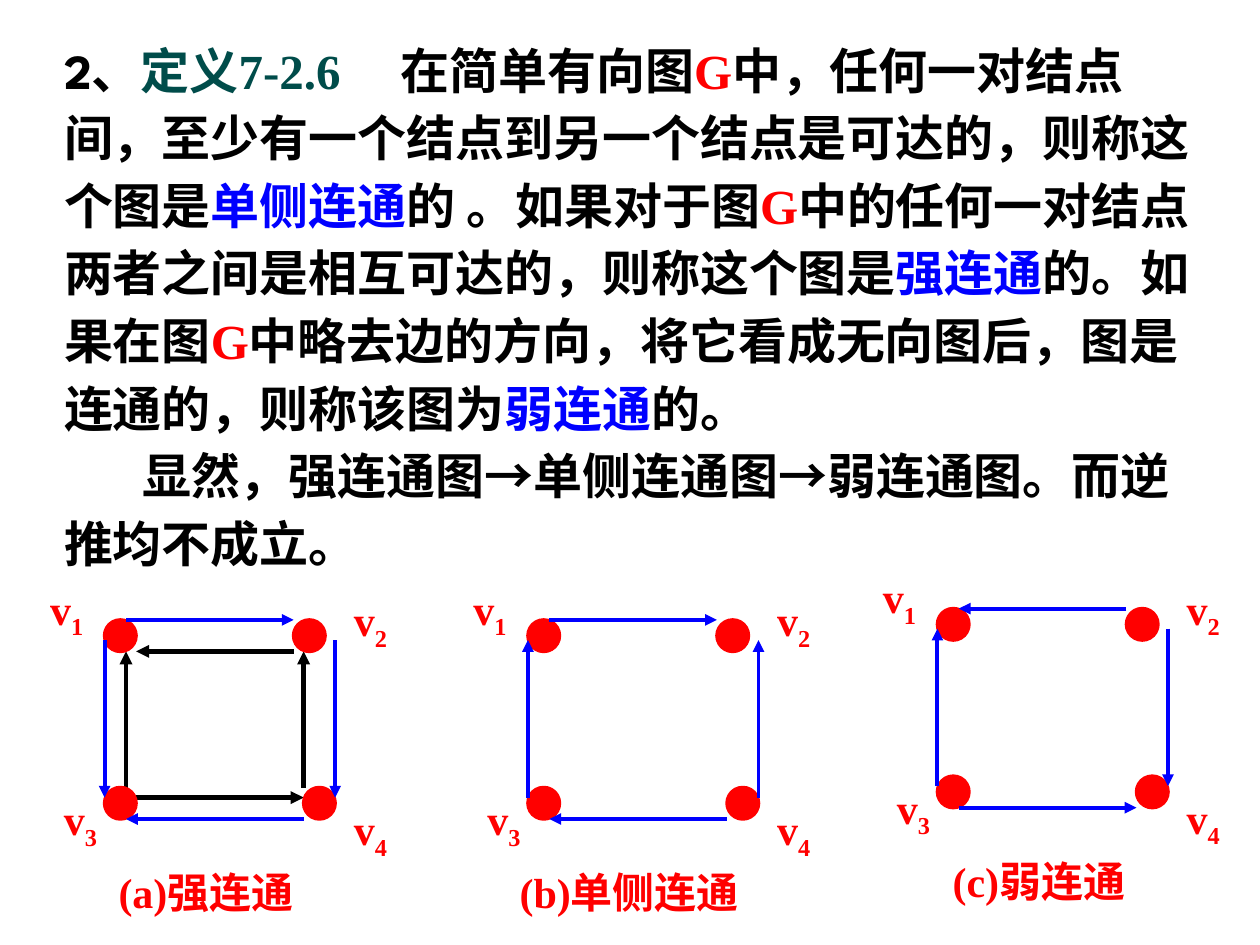
from lxml.etree import SubElement as Sub
from pptx import Presentation
from pptx.dml.color import RGBColor as RGB
from pptx.enum.shapes import MSO_CONNECTOR as Link, MSO_SHAPE as Form
from pptx.enum.text import PP_ALIGN as Align
from pptx.oxml.ns import qn
from pptx.util import Inches, Pt

RED, BLUE, BLACK, TEAL = "FF0000", "0000FF", "000000", "004C4A"
SERIF, SANS = "Times New Roman", "League Spartan"


def color(part, tone):
    part.rgb = RGB.from_string(tone)


def write(para, text, size=24, font=SERIF, tone=RED, base=0):
    run = para.add_run()
    run.text = text
    run.font.size = Pt(size)
    run.font.name = font
    run.font.bold = True
    color(run.font.color, tone)
    if base:
        run._r.get_or_add_rPr().set("baseline", str(base * 1000))


class Board:
    def __init__(self, deck):
        self.slide = deck.slides.add_slide(deck.slide_layouts[6])
        self.shapes = self.slide.shapes

    def text(self, x, y, w, h):
        box = self.shapes.add_textbox(Inches(x), Inches(y), Inches(w), Inches(h))
        box.text_frame.word_wrap = True
        return box.text_frame

    def label(self, x, y, w, h, text, sub=""):
        para = self.text(x, y, w, h).paragraphs[0]
        para.alignment = Align.CENTER
        write(para, text)
        if sub:
            write(para, sub, base=-25)

    def node(self, x, y):
        dot = self.shapes.add_shape(
            Form.OVAL, Inches(x), Inches(y), Inches(0.25), Inches(0.25))
        dot.shadow.inherit = False
        dot.fill.solid()
        color(dot.fill.fore_color, RED)
        color(dot.line.color, RED)
        dot.line.width = Pt(2)

    def arrow(self, start, end, tone=BLUE, width=2.25):
        ends = [Inches(v) for v in (*start, *end)]
        edge = self.shapes.add_connector(Link.STRAIGHT, *ends)
        color(edge.line.color, tone)
        edge.line.width = Pt(width)
        Sub(edge.line._get_or_add_ln(), qn("a:tailEnd"), type="triangle")
        Sub(edge._element.spPr, qn("a:effectLst"))

    def graph(self, x, y, title, wide, flips=(), inner=()):
        def place(spot):
            return round(x + spot[0], 2), round(y + spot[1], 2)

        for start, end in inner:
            self.arrow(place(start), place(end), BLACK, 2.5)
        for spot in NODES:
            self.node(*place(spot))
        for sub, spot in enumerate(LABELS, 1):
            self.label(*place(spot), 0.56, 0.56, "v", str(sub))
        for side, ends in EDGES.items():
            start, end = reversed(ends) if side in flips else ends
            self.arrow(place(start), place(end))
        self.label(*place((0.8 - wide / 2, 1.91)), wide, 0.5, title)


NODES = [(0, 0), (1.5, 0), (0, 1.33), (1.58, 1.33)]
LABELS = [(-0.58, -0.34), (1.83, -0.25), (-0.47, 1.33), (1.83, 1.41)]
EDGES = {
    "left": ((0, 0.16), (0, 1.41)),
    "right": ((1.83, 0.16), (1.83, 1.41)),
    "base": ((1.58, 1.58), (0.17, 1.58)),
    "top": ((0.17, 0), (1.5, 0)),
}
INNER = [
    ((1.5, 0.25), (0.25, 0.25)),
    ((0.17, 1.41), (0.17, 0.25)),
    ((0.17, 1.41), (1.58, 1.41)),
    ((1.58, 1.33), (1.58, 0.25)),
]
TERMS = [
    ("定义7-2.6\t", TEAL),
    ("在简单有向图", BLACK),
    ("G", RED),
    ("中，任何一对结点间，至少有一个结点到另一个结点是可达的，则称这个图是", BLACK),
    ("单侧连通", BLUE),
    ("的 。如果对于图", BLACK),
    ("G", RED),
    ("中的任何一对结点两者之间是相互可达的，则称这个图是", BLACK),
    ("强连通", BLUE),
    ("的。如果在图", BLACK),
    ("G", RED),
    ("中略去边的方向，将它看成无向图后，图是连通的，则称该图为", BLACK),
    ("弱连通", BLUE),
    ("的。", BLACK),
]


def main():
    deck = Presentation()
    deck.slide_width, deck.slide_height = Inches(10), Inches(7.5)
    board = Board(deck)

    frame = board.text(0.41, 0.2, 9.25, 4.4)
    first, second = frame.paragraphs[0], frame.add_paragraph()
    for para in (first, second):
        para.line_spacing = 1.15
        para._p.get_or_add_pPr().set("hangingPunct", "0")
    tabs = Sub(first._p.get_or_add_pPr(), qn("a:tabLst"))
    Sub(tabs, qn("a:tab"), pos=str(Inches(2.67)), algn="l")
    second._p.get_or_add_pPr().set("indent", str(Inches(0.62)))
    write(first, "2、", 28, SANS, BLACK)
    for text, tone in TERMS:
        write(first, text, 28, SERIF, tone)
    write(second, "显然，强连通图→单侧连通图→弱连通图。而逆推均不成立。", 28, SANS, BLACK)

    board.graph(0.83, 4.92, "(a)强连通", 1.75, inner=INNER)
    board.graph(4.19, 4.92, "(b)单侧连通", 2.17, ("left", "right"))
    board.graph(7.44, 4.83, "(c)弱连通", 1.75, ("left", "base", "top"))
    deck.save("out.pptx")


if __name__ == "__main__":
    main()
